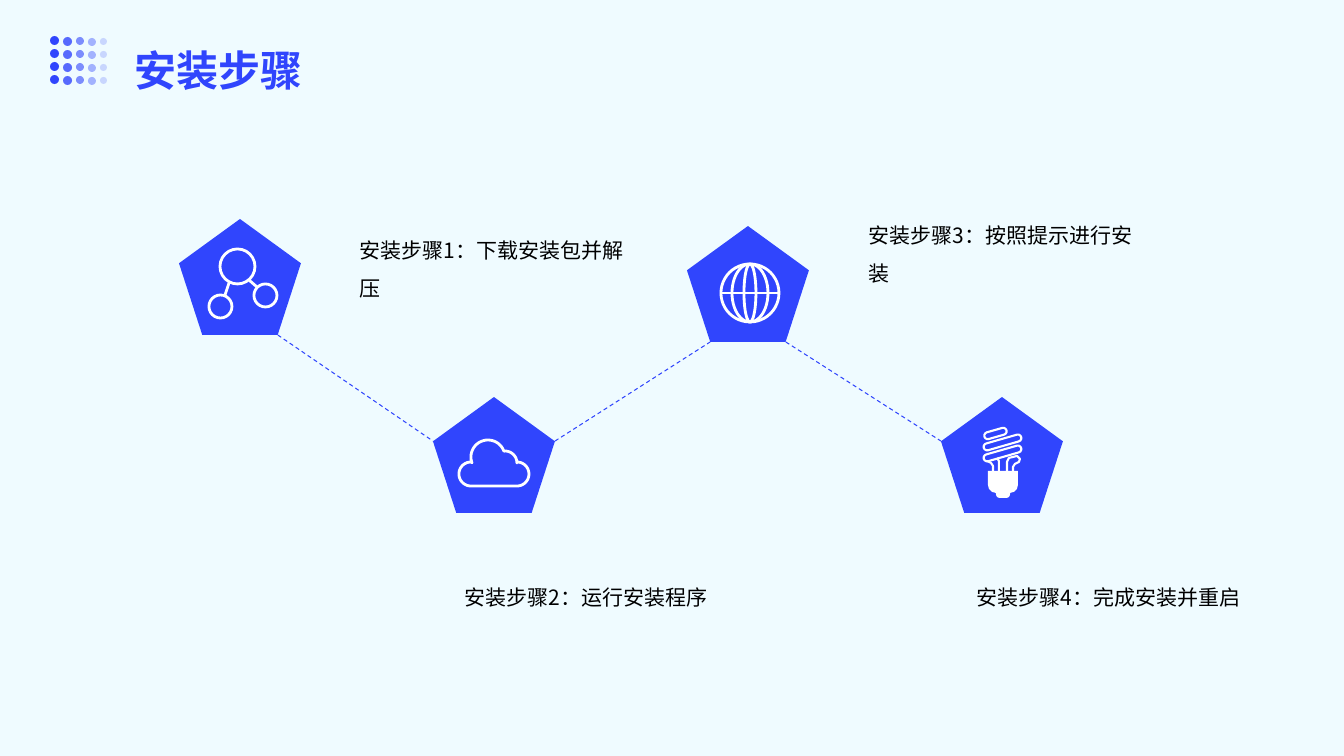
"""Build the installation steps slide: four linked pentagons with icons and captions."""
from math import cos, radians, sin

from lxml.etree import SubElement
from pptx import Presentation
from pptx.dml.color import RGBColor
from pptx.enum.dml import MSO_LINE
from pptx.enum.shapes import MSO_CONNECTOR, MSO_SHAPE
from pptx.enum.text import MSO_ANCHOR
from pptx.oxml.ns import qn
from pptx.util import Pt

BLUE = RGBColor(0x30, 0x45, 0xFD)
WHITE = RGBColor(0xFF, 0xFF, 0xFF)
BLACK = RGBColor(0, 0, 0)
PALE = RGBColor(0xEF, 0xFB, 0xFF)
FONT = "Noto Sans CJK SC"
SCALE = 12192000 / 1344

TITLE = "安装步骤"
STEPS = [
    {"caption": "安装步骤1：下载安装包并解压", "top": 219, "caption_at": (353, 193)},
    {"caption": "安装步骤2：运行安装程序", "top": 397, "caption_at": (458, 521)},
    {"caption": "安装步骤3：按照提示进行安装", "top": 226, "caption_at": (862, 178)},
    {"caption": "安装步骤4：完成安装并重启", "top": 397, "caption_at": (970, 521)},
]
FIRST_LEFT, STEP_PITCH = 179, 254
PENTAGON_W, PENTAGON_H = 122, 116
CAPTION_W, CAPTION_H = 281, 140

DOT_COLUMNS = [(50, 36, 9, 100), (63, 37, 9, 80), (76, 37, 8, 60), (88, 38, 8, 40), (100, 38, 7, 20)]
DOT_ROWS, DOT_PITCH = 4, 13

MOLECULE_ATOMS = [(220, 249, 35, 35), (209, 295, 23, 23), (254, 284, 23, 23)]
MOLECULE_BONDS = [[(229, 283), (225, 295)], [(249, 280), (257, 287)]]
GLOBE_RINGS = [(721, 264, 58, 58), (732, 264, 36, 58), (744, 264, 12, 58)]
GLOBE_EQUATOR = [(721, 293), (779, 293)]
CLOUD_ARCS = [(471, 474, 12, 90, 270), (488, 457, 17, 160, 343), (505, 463, 12, 270, 360), (517, 474, 12, 270, 450)]
BULB_COILS = [(984, 430, 23, 7), (983, 439, 39, 7), (983, 450, 39, 7)]
BULB_TILT = -16
BULB_STEMS = [
    [(987, 461), (991, 463), (993, 466), (993, 471)],
    [(997, 458), (999, 461), (999, 471)],
    [(1013, 471), (1013, 467), (1015, 464), (1019, 462), (1020, 459),
     (1017, 456), (1009, 458), (1007, 462), (1007, 471)],
]
BULB_BASE = [(988, 471, 30, 22), (996, 488, 14, 10)]


def px(*lengths):
    return [round(length * SCALE) for length in lengths]


def paint(shape, fill=None, line=None, width=2):
    shape.shadow.inherit = False
    if fill is None:
        shape.fill.background()
    else:
        shape.fill.solid()
        shape.fill.fore_color.rgb = fill
    if line is None:
        shape.line.fill.background()
    else:
        shape.line.color.rgb = line
        shape.line.width = Pt(width)
    return shape


def add_preset(preset, box, **colours):
    return paint(slide.shapes.add_shape(preset, *px(*box)), **colours)


def add_path(points, closed=False):
    corners = [px(*point) for point in points]
    builder = slide.shapes.build_freeform(*corners[0], scale=1.0)
    builder.add_line_segments(corners[1:], close=closed)
    return paint(builder.convert_to_shape(), line=WHITE)


def add_text(words, box, insets, spacing, size, colour, bold=False, anchor=MSO_ANCHOR.TOP):
    frame = slide.shapes.add_textbox(*px(*box)).text_frame
    margins = dict(zip(("margin_left", "margin_top", "margin_right", "margin_bottom"), px(*insets)))
    for name, value in {"word_wrap": True, "vertical_anchor": anchor, **margins}.items():
        setattr(frame, name, value)
    paragraph = frame.paragraphs[0]
    paragraph.line_spacing = spacing
    run = paragraph.add_run()
    run.text = words
    for name, value in {"name": FONT, "size": Pt(size), "bold": bold}.items():
        setattr(run.font, name, value)
    run.font.color.rgb = colour
    SubElement(run.font._element, qn("a:ea"), typeface=FONT)


def add_link(start, end):
    link = slide.shapes.add_connector(MSO_CONNECTOR.STRAIGHT, *px(*start, *end))
    link.line.color.rgb = BLUE
    link.line.width = Pt(0.75)
    link.line.dash_style = MSO_LINE.DASH
    SubElement(link._element.spPr, qn("a:effectLst"))


def draw_molecule():
    for atom in MOLECULE_ATOMS:
        add_preset(MSO_SHAPE.OVAL, atom, line=WHITE)
    for bond in MOLECULE_BONDS:
        add_path(bond)


def draw_cloud():
    add_path([(x + r * cos(radians(angle)), y + r * sin(radians(angle)))
              for x, y, r, start, end in CLOUD_ARCS
              for angle in range(start, end + 1, 6)], closed=True)


def draw_globe():
    for ring in GLOBE_RINGS:
        add_preset(MSO_SHAPE.OVAL, ring, line=WHITE)
    add_path(GLOBE_EQUATOR)


def draw_bulb():
    for box in BULB_COILS:
        coil = add_preset(MSO_SHAPE.ROUNDED_RECTANGLE, box, line=WHITE, width=1.5)
        coil.adjustments[0] = 0.5
        coil.rotation = BULB_TILT
    for stem in BULB_STEMS:
        add_path(stem).line.width = Pt(1.5)
    for box in BULB_BASE:
        base = add_preset(MSO_SHAPE.ROUND_2_SAME_RECTANGLE, box, fill=WHITE)
        base.adjustments[0] = 0
        base.adjustments[1] = 0.36


presentation = Presentation()
presentation.slide_width, presentation.slide_height = px(1344, 756)
slide = presentation.slides.add_slide(presentation.slide_layouts[6])
slide.background.fill.solid()
slide.background.fill.fore_color.rgb = PALE

for left, top, size, opacity in DOT_COLUMNS:
    for row in range(DOT_ROWS):
        dot = add_preset(MSO_SHAPE.OVAL, (left, top + row * DOT_PITCH, size, size), fill=BLUE)
        colour = dot._element.spPr.find(qn("a:solidFill"))[0]
        SubElement(colour, qn("a:alpha"), val=str(opacity * 1000))
add_text(TITLE, (121, 10, 1103, 101), (14, 14, 6, 14), 1.4, 30, BLUE, bold=True)

lefts = [FIRST_LEFT + index * STEP_PITCH for index in range(len(STEPS))]
for left, step, draw_icon in zip(lefts, STEPS, (draw_molecule, draw_cloud, draw_globe, draw_bulb)):
    add_preset(MSO_SHAPE.REGULAR_PENTAGON, (left, step["top"], PENTAGON_W, PENTAGON_H), fill=BLUE)
    draw_icon()
    add_text(step["caption"], (*step["caption_at"], CAPTION_W, CAPTION_H), (7, 4, 7, 4),
             1.5, 15, BLACK, anchor=MSO_ANCHOR.MIDDLE)

for index in range(len(STEPS) - 1):
    ends = []
    for number, side in ((index, 1), (index + 1, 0)):
        is_high = number % 2 == 0
        across = abs(side - (0.19 if is_high else 0)) * PENTAGON_W
        down = (1 if is_high else 0.38) * PENTAGON_H
        ends.append((lefts[number] + across, STEPS[number]["top"] + down))
    add_link(*ends)

presentation.save("out.pptx")
